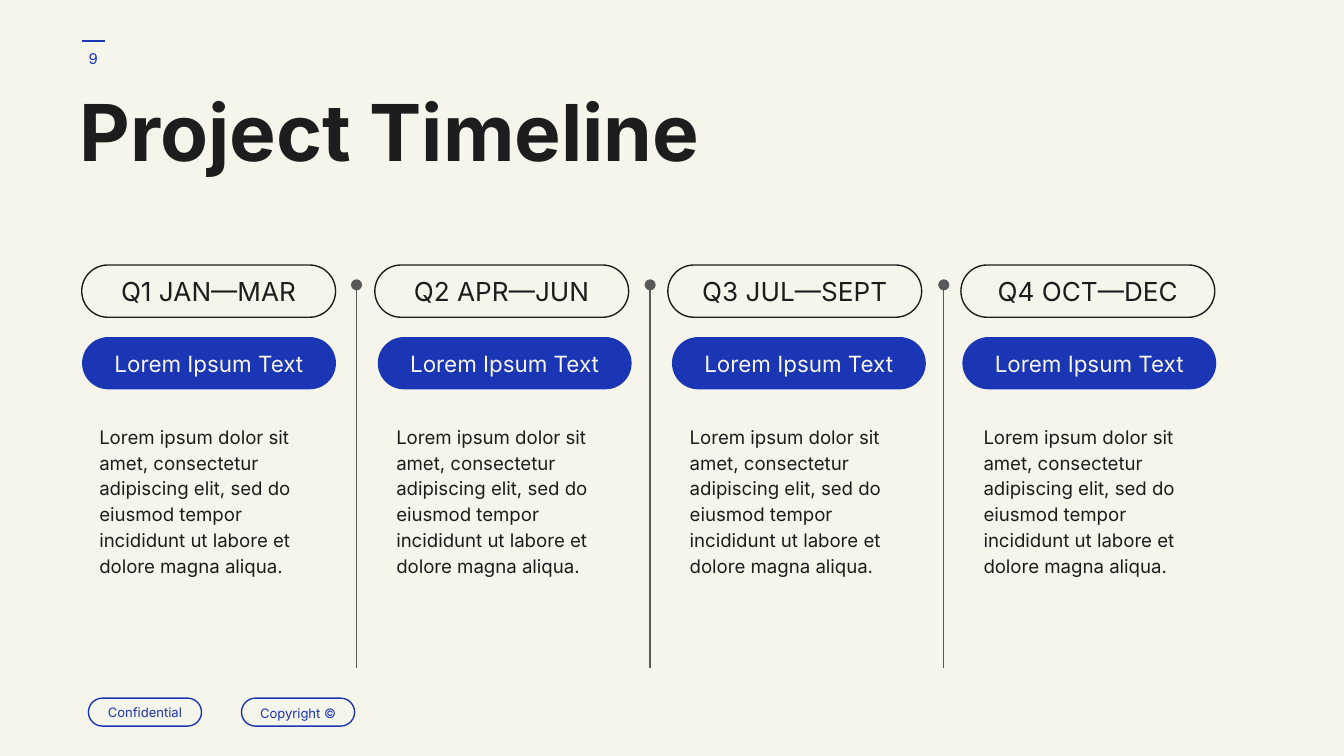
from dataclasses import dataclass

import pptx
import pptx.dml.color
import pptx.enum.shapes
import pptx.enum.text
import pptx.oxml
import pptx.oxml.ns
import pptx.util

Pt = pptx.util.Pt
ALIGN = pptx.enum.text.PP_ALIGN
ANCHOR = pptx.enum.text.MSO_ANCHOR

FONT = "Inter"
CREAM, INK, BLUE, GREY = "F6F5EC", "1D1D1D", "1A36B4", "595959"
LINE_WIDTH = 0.75
PILL_W, PILL_H = 136, 28
COLUMN_STEP = 157
HEADING = "Lorem Ipsum Text"
BODY = ("Lorem ipsum dolor sit amet, consectetur adipiscing elit, sed do "
        "eiusmod tempor incididunt ut labore et dolore magna aliqua.")


@dataclass
class Quarter:
    label: str
    heading_x: float
    body_x: float


@dataclass
class FooterTag:
    text: str
    x: float
    spacing: float


QUARTERS = [
    Quarter("Q1 JAN—MAR", 44, 46.1),
    Quarter("Q2 APR—JUN", 202.4, 205.2),
    Quarter("Q3 JUL—SEPT", 360, 362.4),
    Quarter("Q4 OCT—DEC", 515.6, 519.8),
]
FOOTER_TAGS = [FooterTag("Confidential", 47.4, 1),
               FooterTag("Copyright ©", 129.4, 1.15)]


def set_color(fmt, color: str) -> None:
    """Colour a fill, or the fill of a line or font."""
    fill = fmt if hasattr(fmt, "solid") else fmt.fill
    fill.solid()
    fill.fore_color.rgb = pptx.dml.color.RGBColor.from_string(color)


def write(sp, text: str, *, size: float, color: str = INK, bold: bool = False,
          align=ALIGN.LEFT, anchor=ANCHOR.TOP, spacing: float = 1) -> None:
    tf = sp.text_frame
    tf.word_wrap = True
    tf.vertical_anchor = anchor
    tf.margin_left = tf.margin_right = tf.margin_top = tf.margin_bottom = Pt(7.2)
    p = tf.paragraphs[0]
    p.alignment = align
    p.line_spacing = spacing
    r = p.add_run()
    r.text = text
    r.font.name = FONT
    r.font.size = Pt(size)
    r.font.bold = bold
    set_color(r.font, color)


def add_text(s, x: float, y: float, w: float, h: float, text: str, **fmt) -> None:
    sp = s.shapes.add_textbox(Pt(x), Pt(y), Pt(w), Pt(h))
    write(sp, text, **fmt)


def add_pill(s, x: float, y: float, w: float, h: float, text: str, *,
             fill: str = "", line: str = "", **fmt) -> None:
    sp = s.shapes.add_shape(pptx.enum.shapes.MSO_SHAPE.ROUNDED_RECTANGLE,
                            Pt(x), Pt(y), Pt(w), Pt(h))
    sp.adjustments[0] = 0.5
    sp.shadow.inherit = False
    if fill:
        set_color(sp.fill, fill)
    else:
        sp.fill.background()
    if line:
        set_color(sp.line, line)
        sp.line.width = Pt(LINE_WIDTH)
    else:
        sp.line.fill.background()
    write(sp, text, align=ALIGN.CENTER, anchor=ANCHOR.MIDDLE, **fmt)


def add_line(s, x1: float, y1: float, x2: float, y2: float, color: str,
             dot: bool = False) -> None:
    """Draw a straight line, with a dot at its start if asked."""
    sp = s.shapes.add_connector(pptx.enum.shapes.MSO_CONNECTOR.STRAIGHT,
                                Pt(x1), Pt(y1), Pt(x2), Pt(y2))
    set_color(sp.line, color)
    sp.line.width = Pt(LINE_WIDTH)
    if dot:
        head = pptx.oxml.parse_xml(
            f'<a:headEnd {pptx.oxml.ns.nsdecls("a")} type="oval"/>')
        sp.line.fill  # the line element exists once a colour is set
        sp.element.spPr.find(pptx.oxml.ns.qn("a:ln")).append(head)
    sp.element.spPr.append(
        pptx.oxml.parse_xml(f'<a:effectLst {pptx.oxml.ns.nsdecls("a")}/>'))


def main() -> None:
    prs = pptx.Presentation()
    prs.slide_width, prs.slide_height = Pt(720), Pt(405)
    s = prs.slides.add_slide(prs.slide_layouts[6])
    set_color(s.background.fill, CREAM)

    add_line(s, 56, 22, 44, 22, BLUE)
    add_text(s, 33, 16, 34, 31, "9", size=8, color=BLUE,
             align=ALIGN.CENTER, anchor=ANCHOR.MIDDLE)
    add_text(s, 35.6, 46.8, 540, 82, "Project Timeline", size=42, bold=True,
             spacing=0.8)

    for i, quarter in enumerate(QUARTERS):
        add_pill(s, 43.8 + i * COLUMN_STEP, 142, PILL_W, PILL_H, quarter.label,
                 line=INK, size=14)
        add_pill(s, quarter.heading_x, 180.6, PILL_W, PILL_H, HEADING,
                 fill=BLUE, size=12, color=CREAM)
        add_text(s, quarter.body_x, 219, 129, 135, BODY, size=10, spacing=1.15)

    for i in range(len(QUARTERS) - 1):
        x = 191 + i * 157.3
        add_line(s, x, 152.6, x, 357.8, GREY, dot=True)

    for tag in FOOTER_TAGS:
        add_pill(s, tag.x, 374, 60.6, 15, tag.text, line=BLUE, size=7,
                 color=BLUE, spacing=tag.spacing)

    prs.save("out.pptx")


if __name__ == "__main__":
    main()
